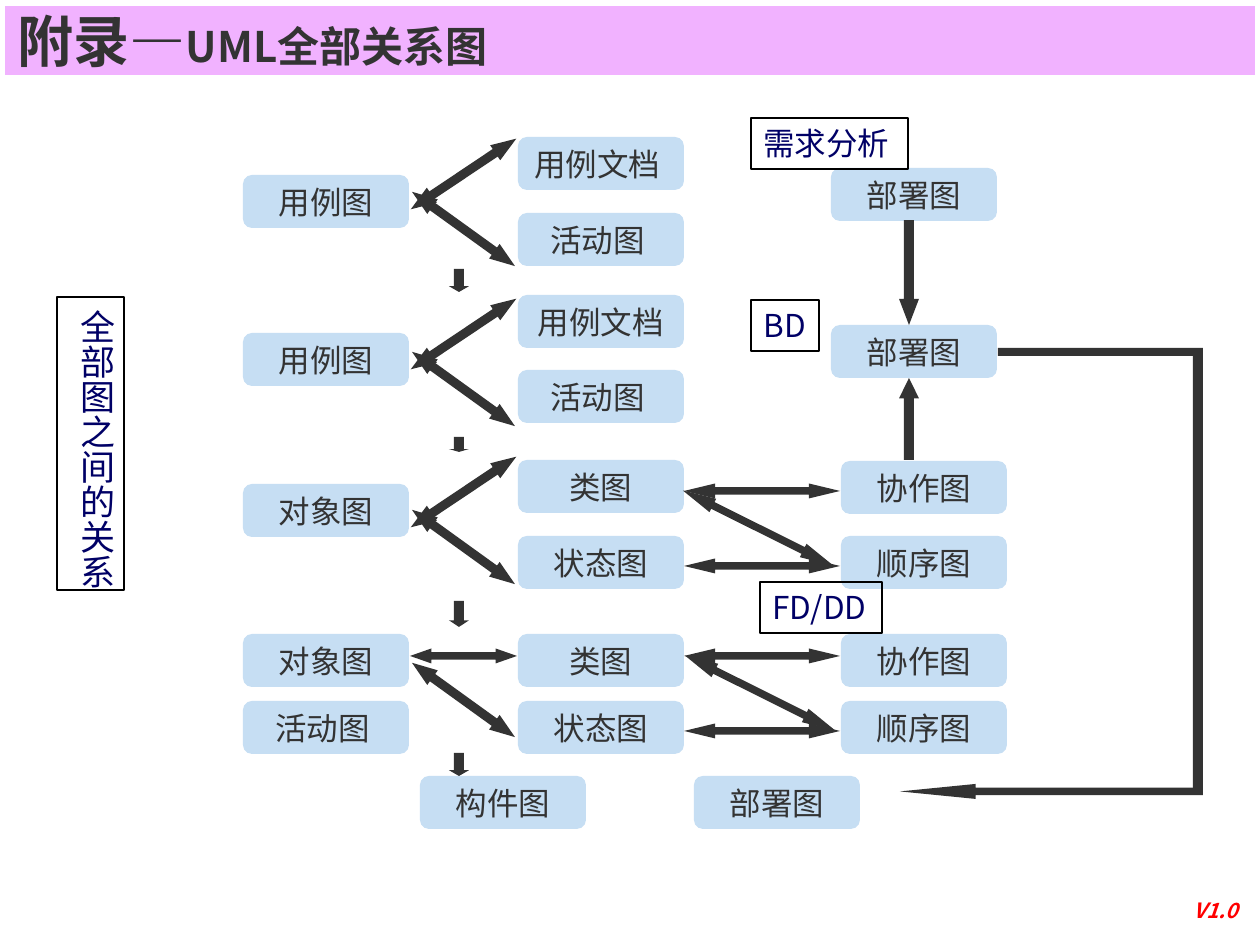
from dataclasses import dataclass

from lxml import etree
from pptx import Presentation
from pptx.dml.color import RGBColor
from pptx.enum.shapes import MSO_SHAPE
from pptx.enum.text import MSO_ANCHOR, MSO_AUTO_SIZE, PP_ALIGN
from pptx.oxml.ns import qn
from pptx.util import Pt

RECT, ROUNDED = MSO_SHAPE.RECTANGLE, MSO_SHAPE.ROUNDED_RECTANGLE
BOTH, LEFT = MSO_SHAPE.LEFT_RIGHT_ARROW, MSO_SHAPE.LEFT_ARROW
UP, DOWN = MSO_SHAPE.UP_ARROW, MSO_SHAPE.DOWN_ARROW
MIDDLE, TOP = MSO_ANCHOR.MIDDLE, MSO_ANCHOR.TOP
NO_FIT = MSO_AUTO_SIZE.NONE
ALIGN_LEFT, ALIGN_CENTER = PP_ALIGN.LEFT, PP_ALIGN.CENTER


@dataclass(frozen=True)
class Theme:
    font: str = "Noto Sans CJK SC"
    ink: str = "333333"
    banner: str = "F1B2FF"
    node: str = "C6DEF3"
    label: str = "000066"
    border: str = "000000"
    version: str = "FF0000"
    title_size: int = 32
    subtitle_size: int = 24
    overview_size: int = 20
    body_size: int = 18
    version_size: int = 12
    border_width: float = 0.75


THEME = Theme()
EMU_PER_PX = 914400 / 126

TITLE = [("附录—", THEME.title_size), ("UML全部关系图", THEME.subtitle_size)]
VERSION = "V1.0"
NODE_SIZE = (166, 53)
NODE_COLUMNS = {
    243: [("用例图", 175), ("用例图", 333), ("对象图", 484), ("对象图", 634), ("活动图 ", 701)],
    518: [("用例文档 ", 137), ("活动图 ", 213), ("用例文档", 295), ("活动图 ", 370),
          ("类图", 460), ("状态图", 536), ("类图", 634), ("状态图", 701)],
    831: [("部署图", 168), ("部署图", 325)],
    841: [("协作图", 461), ("顺序图", 536), ("协作图", 634), ("顺序图", 701)],
    420: [("构件图", 776)],
    694: [("部署图", 776)],
}
PHASES = [
    ("需求分析", 751, 118, 157),
    ("BD", 751, 300, 68),
    ("FD/DD", 760, 582, 122),
]
OVERVIEW = ("全部图之间的关系", (57, 297, 67, 293))

FAN_CENTERS = [174, 334, 492]
FAN_GAP = 55
FAN_ANGLES = [146.2, 35.8]
CLASS_ROWS = [491, 566, 656, 731]
CLASS_DIAGONALS = [(758, 528), (760, 693)]
STEPS = [(269, 23), (437, 15), (601, 26), (753, 23)]
ROUTE_BARS = [(1193, 355, 10, 436), (998, 348, 205, 8)]


def px(value):
    return round(value * EMU_PER_PX)


def color(value):
    return RGBColor.from_string(value)


def add_run(paragraph, text, size, ink, bold=False, italic=False):
    run = paragraph.add_run()
    run.text = text
    font = run.font
    font.size, font.bold, font.italic = Pt(size), bold, italic
    font.color.rgb = color(ink)
    font.name = THEME.font
    east_asian = etree.SubElement(font._element, qn("a:ea"))
    east_asian.set("typeface", THEME.font)


def set_frame(frame, anchor, align, wrap=False):
    frame.word_wrap = wrap
    frame.auto_size = NO_FIT
    frame.vertical_anchor = anchor
    frame.margin_left = frame.margin_right = px(12.6)
    frame.margin_top = frame.margin_bottom = px(6.3)
    paragraph = frame.paragraphs[0]
    paragraph.alignment = align
    return paragraph


def add_block(slide, kind, box, fill=None):
    block = slide.shapes.add_shape(kind, *map(px, box))
    block.shadow.inherit = False
    if fill:
        block.fill.solid()
        block.fill.fore_color.rgb = color(fill)
        block.line.fill.background()
    else:
        block.fill.background()
        block.line.color.rgb = color(THEME.border)
        block.line.width = Pt(THEME.border_width)
    return block


def add_node(slide, text, left, top):
    node = add_block(slide, ROUNDED, (left, top, *NODE_SIZE), THEME.node)
    paragraph = set_frame(node.text_frame, MIDDLE, ALIGN_CENTER)
    add_run(paragraph, text, THEME.body_size, THEME.ink)


def add_arrow(slide, kind, box, rotation=0):
    arrow = add_block(slide, kind, box, THEME.ink)
    head_share = 0.2 if kind == BOTH else 0.25
    length, thickness = max(box[2:]), min(box[2:])
    if kind in (UP, DOWN):
        length, thickness = box[3], box[2]
    arrow.adjustments[0] = 0.5
    arrow.adjustments[1] = round(head_share * length / thickness, 2)
    arrow.rotation = rotation


def add_two_way(slide, center_x, center_y, length, thickness, rotation=0):
    box = (center_x - length / 2, center_y - thickness / 2, length, thickness)
    add_arrow(slide, BOTH, box, rotation)


def add_label(slide, text, box, size):
    label = add_block(slide, RECT, box)
    paragraph = set_frame(label.text_frame, TOP, ALIGN_LEFT)
    add_run(paragraph, text, size, THEME.label)
    return label.text_frame


def add_title(slide):
    title = slide.shapes.title
    title.left, title.top, title.width, title.height = map(px, (5, 6, 1250, 69))
    title.fill.solid()
    title.fill.fore_color.rgb = color(THEME.banner)
    paragraph = set_frame(title.text_frame, MIDDLE, ALIGN_LEFT, wrap=True)
    for text, size in TITLE:
        add_run(paragraph, text, size, THEME.ink, bold=True)


def add_arrows(slide):
    for center_y in FAN_CENTERS:
        for index, angle in enumerate(FAN_ANGLES):
            add_two_way(slide, 463.5, center_y + index * FAN_GAP, 127, 18, angle)
    add_two_way(slide, 463.5, 700, 127, 18, FAN_ANGLES[1])
    add_two_way(slide, 463.5, 656, 107, 15)
    for center_y in CLASS_ROWS:
        add_two_way(slide, 762, center_y, 156, 15)
    for center_x, center_y in CLASS_DIAGONALS:
        add_two_way(slide, center_x, center_y, 168, 15, 26.5)
    for top, height in STEPS:
        add_arrow(slide, DOWN, (449, top, 20, height))
    add_arrow(slide, DOWN, (899, 220, 20, 105))
    add_arrow(slide, UP, (899, 378, 20, 82))
    add_arrow(slide, LEFT, (900, 784, 303, 15))
    for box in ROUTE_BARS:
        add_block(slide, RECT, box, THEME.ink)


def main():
    deck = Presentation()
    deck.slide_width, deck.slide_height = px(1260), px(945)
    slide = deck.slides.add_slide(deck.slide_layouts[5])
    add_title(slide)
    for left, nodes in NODE_COLUMNS.items():
        for text, top in nodes:
            add_node(slide, text, left, top)
    add_arrows(slide)
    for text, left, top, width in PHASES:
        add_label(slide, text, (left, top, width, 51), THEME.body_size)
    text, box = OVERVIEW
    overview = add_label(slide, text, box, THEME.overview_size)
    overview.margin_left = overview.margin_right = px(6.3)
    overview.margin_top = overview.margin_bottom = px(12.6)
    overview._txBody.bodyPr.set("vert", "eaVert")
    version = slide.shapes.add_textbox(*map(px, (1171, 891, 89, 38)))
    paragraph = set_frame(version.text_frame, TOP, ALIGN_CENTER)
    add_run(paragraph, VERSION, THEME.version_size, THEME.version, bold=True, italic=True)
    deck.save("out.pptx")


if __name__ == "__main__":
    main()
